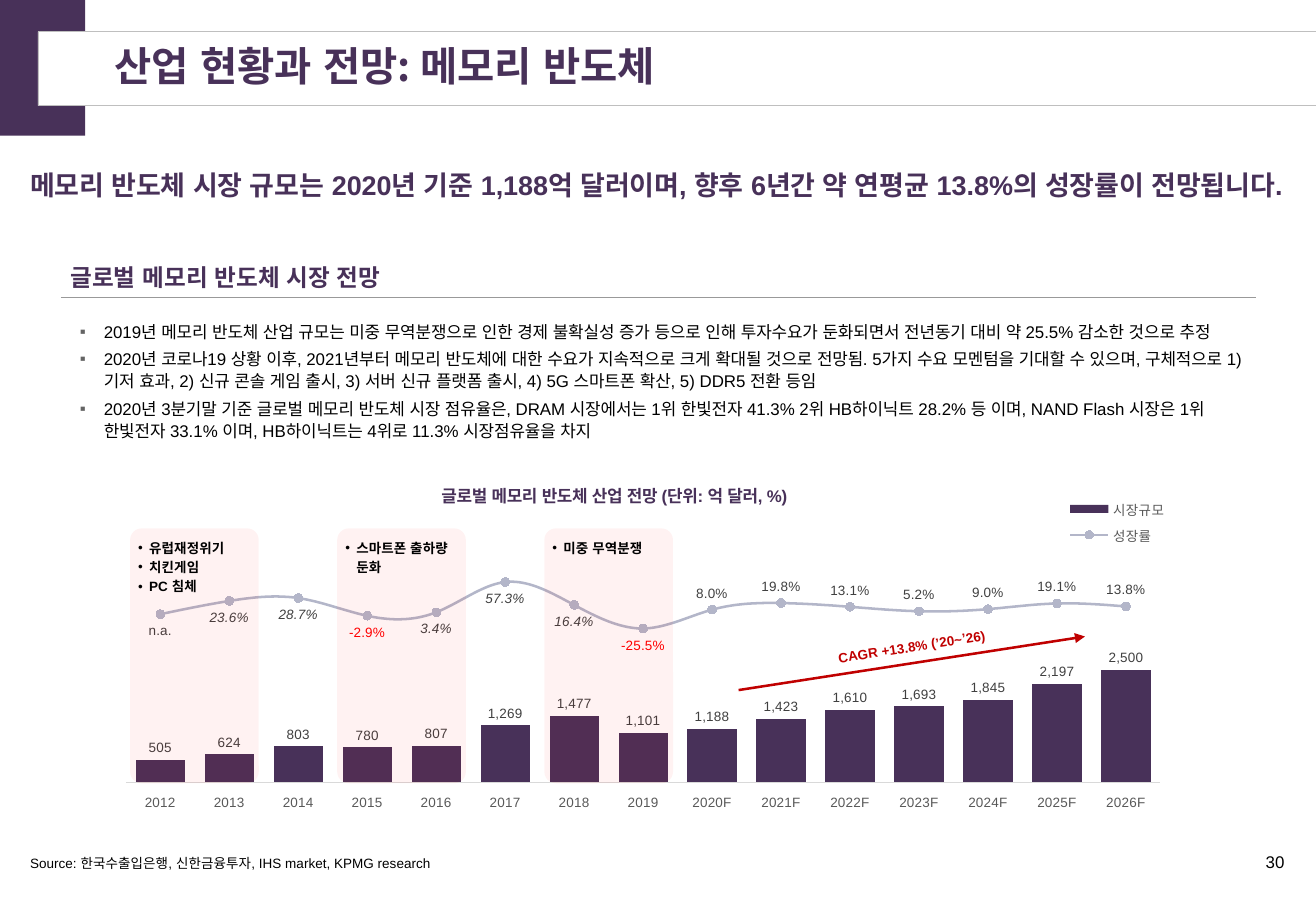
from lxml import etree
from pptx import Presentation
from pptx.chart.data import CategoryChartData
from pptx.dml.color import RGBColor
from pptx.enum.chart import (XL_CHART_TYPE, XL_LABEL_POSITION, XL_LEGEND_POSITION,
                             XL_MARKER_STYLE, XL_TICK_LABEL_POSITION, XL_TICK_MARK)
from pptx.enum.shapes import MSO_CONNECTOR, MSO_SHAPE
from pptx.enum.text import MSO_ANCHOR, MSO_AUTO_SIZE, PP_ALIGN
from pptx.oxml import parse_xml
from pptx.oxml.ns import nsdecls, qn
from pptx.util import Cm, Pt

PURPLE, GREY_BLUE, RED, BLACK = "483159", "B3B6C9", "C00000", "000000"


def rgb(value):
    return RGBColor.from_string(value)


def write(shape, lines, size, color=PURPLE, bold=False, font="Arial", align=PP_ALIGN.LEFT,
          anchor=MSO_ANCHOR.TOP, insets=(0.25, 0.13, 0.25, 0.13), spacing=1.0, after=0,
          bullet=None, bullet_color=BLACK, indent=0):
    frame = shape.text_frame
    frame.text = "\n".join(lines)
    frame.word_wrap = True
    frame.auto_size = MSO_AUTO_SIZE.NONE
    frame.vertical_anchor = anchor
    (frame.margin_left, frame.margin_top,
     frame.margin_right, frame.margin_bottom) = [Cm(inset) for inset in insets]
    for paragraph in frame.paragraphs:
        if bullet:
            properties = paragraph._p.get_or_add_pPr()
            properties.set("marL", str(Cm(indent)))
            properties.set("indent", str(-Cm(indent)))
            bullet_fill = etree.SubElement(properties, qn("a:buClr"))
            etree.SubElement(bullet_fill, qn("a:srgbClr"), val=bullet_color)
            etree.SubElement(properties, qn("a:buFont"), typeface="Arial")
            etree.SubElement(properties, qn("a:buChar"), char=bullet)
        paragraph.alignment = align
        paragraph.line_spacing = spacing
        paragraph.space_before = Pt(0)
        paragraph.space_after = Pt(after)
        for run in paragraph.runs:
            run.font.name, run.font.size, run.font.bold = font, Pt(size), bold
            run.font.color.rgb = rgb(color)
            # East Asian typeface, which also sets the width of Korean word spaces
            etree.SubElement(run.font._element, qn("a:ea"), typeface="Arial")


prs = Presentation()
prs.slide_width, prs.slide_height = Cm(27.51), Cm(19.05)
slide = prs.slides.add_slide(prs.slide_layouts[1])
shapes = slide.shapes

# Corner block, behind the title band
corner = shapes.add_shape(MSO_SHAPE.RECTANGLE, 0, 0, Cm(1.78), Cm(2.84))
corner.shadow.inherit = False
corner.fill.solid()
corner.fill.fore_color.rgb = rgb(PURPLE)
corner.line.fill.background()
shapes.element.insert(2, corner.element)

# Title band
title = shapes.title
title.left, title.top, title.width, title.height = Cm(0.79), Cm(0.66), Cm(26.72), Cm(1.55)
title.fill.solid()
title.fill.fore_color.rgb = rgb("FFFFFF")
title.line.color.rgb = rgb("BFBFBF")
title.line.width = Pt(0.25)
write(title, ["산업 현황과 전망: 메모리 반도체"], 24, bold=True, font="Noto Sans CJK KR",
      anchor=MSO_ANCHOR.MIDDLE, insets=(1.6, 0, 0.25, 0), spacing=0.9)

# Key message
message = shapes.add_textbox(Cm(0.38), Cm(3.32), Cm(26.72), Cm(1.8))
write(message, ["메모리 반도체 시장 규모는 2020년 기준 1,188억 달러이며, 향후 6년간 약 연평균 13.8%의 "
                "성장률이 전망됩니다."], 16, bold=True, spacing=1.1)

# Section heading
heading = shapes.add_textbox(Cm(1.27), Cm(5.44), Cm(24.99), Cm(0.71))
write(heading, ["글로벌 메모리 반도체 시장 전망"], 14, bold=True, anchor=MSO_ANCHOR.MIDDLE,
      insets=(0.2, 0, 0.2, 0))

# Market commentary
commentary = slide.placeholders[1]
commentary.left, commentary.top = Cm(1.27), Cm(6.58)
commentary.width, commentary.height = Cm(24.99), Cm(2.82)
write(commentary, [
    "2019년 메모리 반도체 산업 규모는 미중 무역분쟁으로 인한 경제 불확실성 증가 등으로 인해 투자수요가 "
    "둔화되면서 전년동기 대비 약 25.5% 감소한 것으로 추정",
    "2020년 코로나19 상황 이후, 2021년부터 메모리 반도체에 대한 수요가 지속적으로 크게 확대될 것으로 "
    "전망됨. 5가지 수요 모멘텀을 기대할 수 있으며, 구체적으로 1) 기저 효과, 2) 신규 콘솔 게임 출시, "
    "3) 서버 신규 플랫폼 출시, 4) 5G 스마트폰 확산, 5) DDR5 전환 등임",
    "2020년 3분기말 기준 글로벌 메모리 반도체 시장 점유율은, DRAM 시장에서는 1위 한빛전자 41.3% "
    "2위 HB하이닉트 28.2% 등 이며, NAND Flash 시장은 1위 한빛전자 33.1% 이며, "
    "HB하이닉트는 4위로 11.3% 시장점유율을 차지",
], 10, BLACK, insets=(0.4, 0.1, 0.1, 0.1), spacing=1.1, after=3,
    bullet="▪", bullet_color="646464", indent=0.5)

# Market size and growth chart
market = CategoryChartData()
market.categories = [str(year) + ("F" if year >= 2020 else "") for year in range(2012, 2027)]
market.add_series("시장규모", [505, 624, 803, 780, 807, 1269, 1477, 1101, 1188, 1423, 1610,
                           1693, 1845, 2197, 2500], "#,##0")
market.add_series("성장률", [0, 0.236, 0.287, -0.029, 0.034, 0.573, 0.164, -0.255, 0.08, 0.198,
                          0.131, 0.052, 0.09, 0.191, 0.138], "0.0%")
chart = shapes.add_chart(XL_CHART_TYPE.COLUMN_CLUSTERED, Cm(2.18), Cm(9.93), Cm(22.53),
                         Cm(7.57), market).chart
chart.font.name, chart.font.size = "Arial", Pt(8)
chart.font.color.rgb = rgb("595959")
chart.plots[0].gap_width = 40
chart.plots[0].vary_by_categories = False

chart.has_title = True
write(chart.chart_title, ["글로벌 메모리 반도체 산업 전망 (단위: 억 달러, %)"], 10, bold=True)

chart.has_legend = True
chart.legend.position = XL_LEGEND_POSITION.RIGHT
chart.legend.include_in_layout = False

years = chart.category_axis
years.tick_label_position = XL_TICK_LABEL_POSITION.LOW
years.major_tick_mark = XL_TICK_MARK.NONE
years.format.line.color.rgb = rgb("D9D9D9")
years.format.line.width = Pt(0.75)
chart.value_axis.has_major_gridlines = False
chart.value_axis.minimum_scale, chart.value_axis.maximum_scale = 0, 5000
chart.value_axis.visible = False

# Growth series moves to a line on a second axis, which carries no line or labels
plot_area = chart.plots[0]._element.getparent()
growth_element = chart.plots[0].series[1]._element
for invert in growth_element.findall(qn("c:invertIfNegative")):
    growth_element.remove(invert)
growth_plot = parse_xml(
    f'<c:lineChart {nsdecls("c")}><c:grouping val="standard"/><c:varyColors val="0"/>'
    '<c:marker val="1"/><c:axId val="5001"/><c:axId val="5002"/></c:lineChart>')
growth_plot.insert(2, growth_element)
chart.plots[0]._element.addnext(growth_plot)
last_axis = plot_area.findall(qn("c:valAx"))[-1]
for kind, own, other, limits, deleted, side, crossing in (
        ("valAx", 5002, 5001, '<c:max val="1"/><c:min val="-3"/>', 0, "r", "max"),
        ("catAx", 5001, 5002, "", 1, "b", "autoZero")):
    last_axis.addnext(parse_xml(
        f'<c:{kind} {nsdecls("c", "a")}><c:axId val="{own}"/><c:scaling>'
        f'<c:orientation val="minMax"/>{limits}</c:scaling><c:delete val="{deleted}"/>'
        f'<c:axPos val="{side}"/><c:majorTickMark val="none"/><c:minorTickMark val="none"/>'
        '<c:tickLblPos val="none"/><c:spPr><a:ln><a:noFill/></a:ln></c:spPr>'
        f'<c:crossAx val="{other}"/><c:crosses val="{crossing}"/></c:{kind}>'))

# Fixed places inside the chart
for part, index, target, place in (
        (plot_area, 0, "inner", {"x": 0.02, "y": 0.23, "w": 0.96, "h": 0.62}),
        (chart.chart_title._element, 1, None, {"x": 0.31, "y": 0.02}),
        (chart.legend._element, 1, None, {"x": 0.89, "y": 0.05, "w": 0.1, "h": 0.16})):
    for old_layout in part.findall(qn("c:layout")):
        part.remove(old_layout)
    settings = f'<c:layoutTarget val="{target}"/>' if target else ""
    settings += "".join(f'<c:{key}Mode val="edge"/>' for key in place if key in "xy")
    settings += "".join(f'<c:{key} val="{value}"/>' for key, value in place.items())
    part.insert(index, parse_xml(f'<c:layout {nsdecls("c")}><c:manualLayout>{settings}'
                                 '</c:manualLayout></c:layout>'))

size_series, growth_series = chart.plots[0].series[0], chart.plots[1].series[0]
size_series.format.fill.solid()
size_series.format.fill.fore_color.rgb = rgb(PURPLE)
growth_series.smooth = True
growth_series.format.line.color.rgb = rgb(GREY_BLUE)
growth_series.format.line.width = Pt(1.5)
growth_series.marker.style, growth_series.marker.size = XL_MARKER_STYLE.CIRCLE, 5
growth_series.marker.format.fill.solid()
growth_series.marker.format.fill.fore_color.rgb = rgb(GREY_BLUE)
growth_series.marker.format.line.color.rgb = rgb(GREY_BLUE)

# Data labels
for series, number_format, position in (
        (size_series, "#,##0", XL_LABEL_POSITION.OUTSIDE_END),
        (growth_series, "0.0%", XL_LABEL_POSITION.BELOW)):
    labels = series.data_labels
    labels.show_value = True
    labels.number_format, labels.number_format_is_linked = number_format, False
    labels.position = position
    labels.font.name, labels.font.size = "Arial", Pt(8)
    labels.font.color.rgb = rgb("404040")
for index, value in enumerate(growth_series.values):
    label = growth_series.points[index].data_label
    if index == 0:
        label.text_frame.text = "n.a."
        font = label.text_frame.paragraphs[0].runs[0].font
    else:
        font = label.font
    font.name, font.size = "Arial", Pt(8)
    font.color.rgb = rgb("FF0000" if value < 0 else "404040")
    font.italic = 0 < index < 8 and value > 0
    label.position = XL_LABEL_POSITION.BELOW if index < 8 else XL_LABEL_POSITION.ABOVE

# Downturn periods
for index, causes in enumerate((["유럽재정위기", "치킨게임", "PC 침체"],
                                ["스마트폰 출하량 둔화"], ["미중 무역분쟁"])):
    period = shapes.add_shape(MSO_SHAPE.ROUNDED_RECTANGLE, Cm(2.72 + 4.33 * index), Cm(11.05),
                              Cm(2.69), Cm(5.33))
    period.adjustments[0] = 0.09
    period.shadow.inherit = False
    period.fill.solid()
    period.fill.fore_color.rgb = rgb("FF0000")
    tint = period.element.spPr.find(qn("a:solidFill")).find(qn("a:srgbClr"))
    etree.SubElement(tint, qn("a:alpha"), val="5000")
    period.line.fill.background()
    write(period, causes, 8, BLACK, bold=True, insets=(0.1,) * 4, spacing=1.2,
          bullet="•", indent=0.23)

# Heading rule and growth arrow
for x1, y1, x2, y2, color, width, head in (
        (1.27, 6.22, 26.26, 6.22, "999999", 0.75, False),
        (15.44, 14.43, 22.68, 13.31, RED, 1.5, True)):
    stroke = shapes.add_connector(MSO_CONNECTOR.STRAIGHT, Cm(x1), Cm(y1), Cm(x2), Cm(y2))
    stroke.line.color.rgb = rgb(color)
    stroke.line.width = Pt(width)
    if head:
        etree.SubElement(stroke.line._get_or_add_ln(), qn("a:tailEnd"), type="triangle")
    etree.SubElement(stroke.element.spPr, qn("a:effectLst"))
growth_rate = shapes.add_textbox(Cm(17.17), Cm(13.23), Cm(3.78), Cm(0.58))
growth_rate.rotation = 351.1
write(growth_rate, ["CAGR +13.8% (’20~’26)"], 8, RED, bold=True, align=PP_ALIGN.CENTER,
      anchor=MSO_ANCHOR.MIDDLE, insets=(0,) * 4)

# Source and page number
source = shapes.add_textbox(Cm(0.38), Cm(17.22), Cm(23.04), Cm(1.14))
write(source, ["Source: 한국수출입은행, 신한금융투자, IHS market, KPMG research"], 8, BLACK,
      anchor=MSO_ANCHOR.BOTTOM, spacing=0.9)
page = shapes.add_textbox(Cm(24.56), Cm(17.68), Cm(2.54), Cm(0.69))
write(page, ["30"], 10, BLACK, align=PP_ALIGN.RIGHT)

prs.save("out.pptx")
